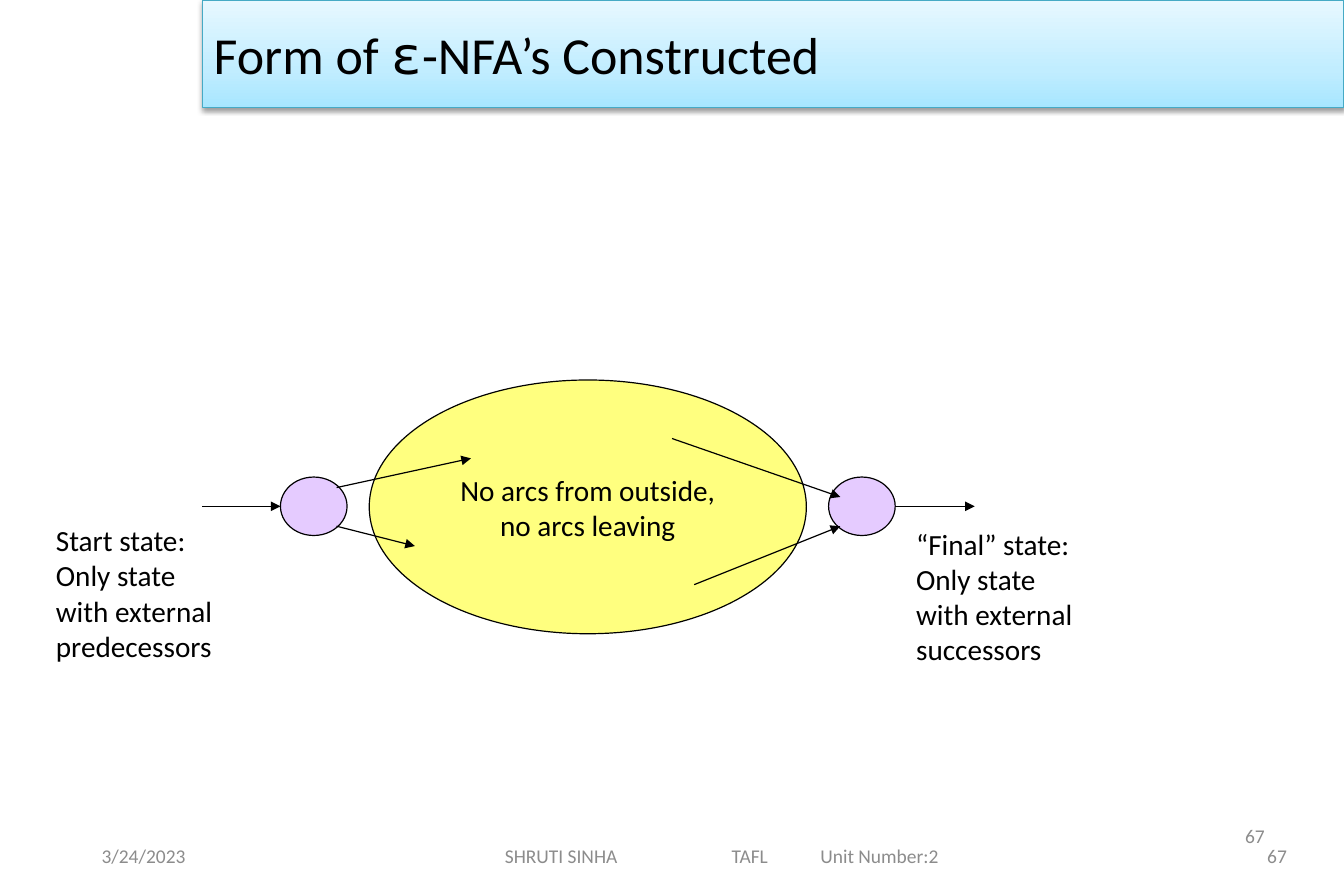
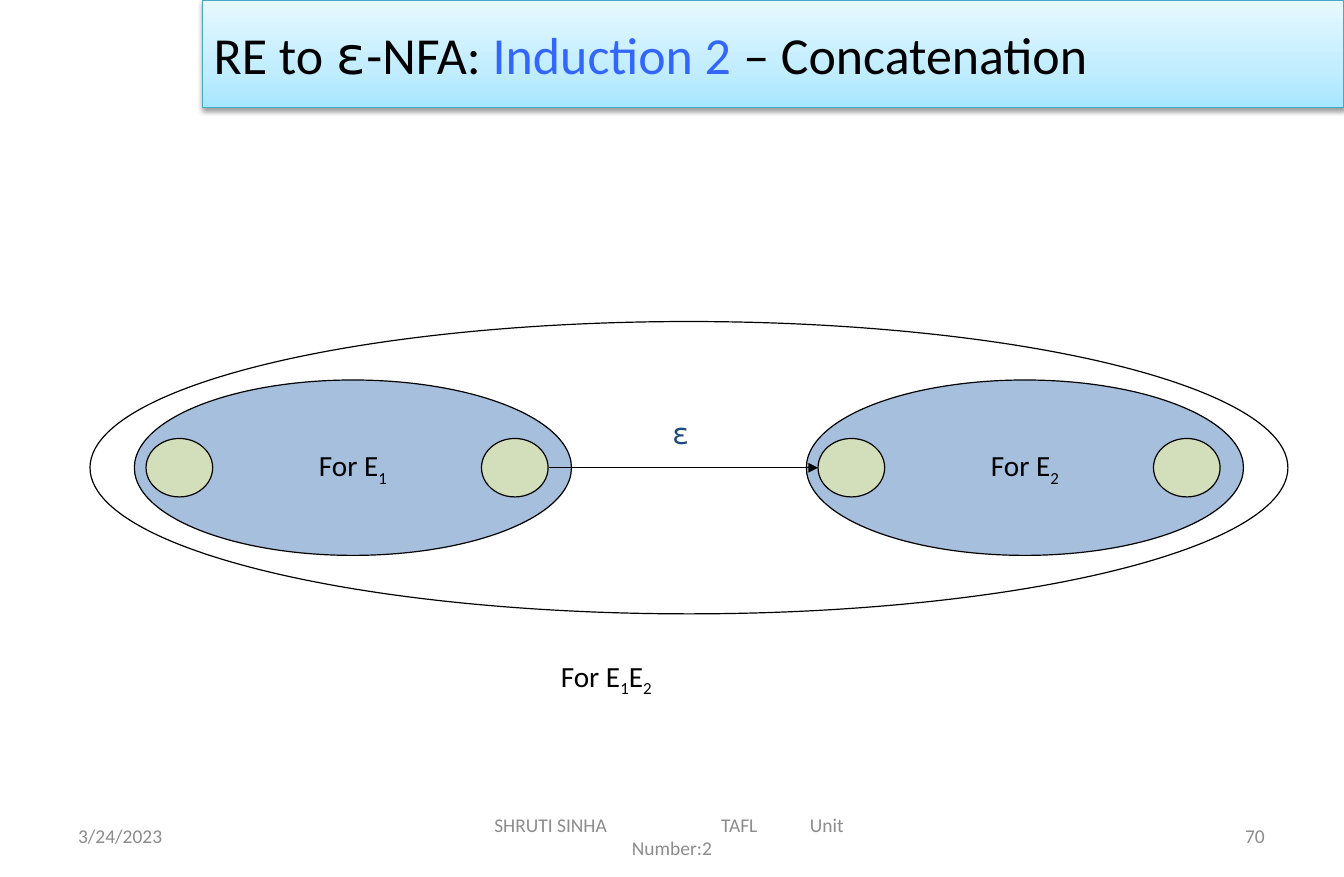
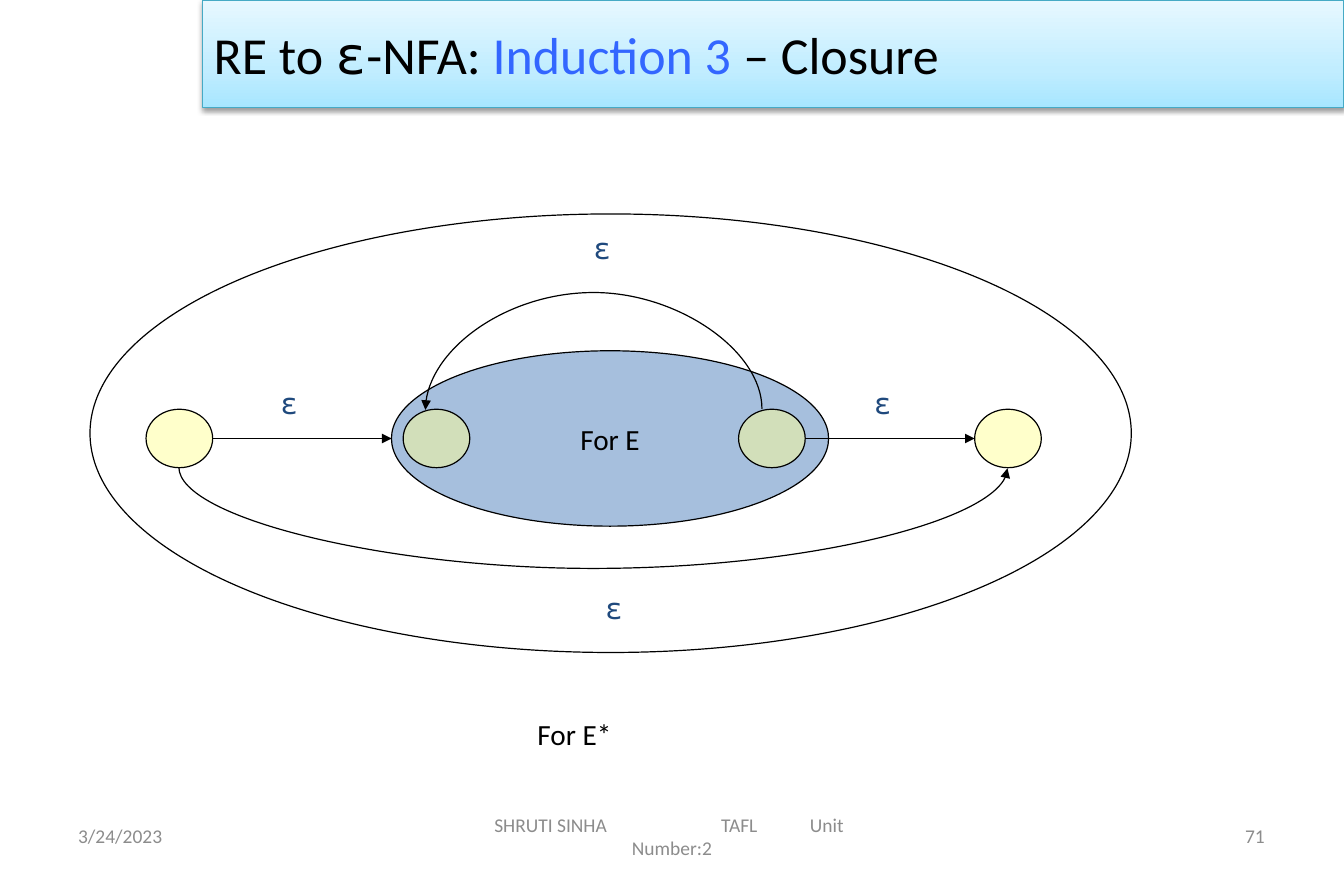
from copy import deepcopy
from pptx import Presentation
from pptx.dml.color import RGBColor
from pptx.enum.shapes import MSO_CONNECTOR, MSO_SHAPE
from pptx.enum.text import MSO_ANCHOR, MSO_AUTO_SIZE, PP_ALIGN
from pptx.oxml.ns import qn
from pptx.oxml.xmlchemy import OxmlElement
from pptx.util import Inches, Pt

# Shared style
SANS, MONO = "Calibri", "DejaVu Sans Mono"
BLACK, GREY, NAVY, BLUE = "000000", "8C8C8C", "1F497D", "3366FF"
LILAC, YELLOW, CREAM, STEEL = "CC99FF", "FFFF00", "FFFF99", "4F81BD"
EDGE = "46AAC5"
GRAD = [(0, "A7E6FF"), (0.35, "C1EDFF"), (1, "E7F8FF")]
LEFT, MID, RIGHT = PP_ALIGN.LEFT, PP_ALIGN.CENTER, PP_ALIGN.RIGHT
NODE_W, NODE_H = 0.57, 0.5
BLOB_W, BLOB_H = 3.74, 1.5
TABS = (1.94, 2.7)


def color(code):
    return RGBColor.from_string(code)


def add(parent, tag, **attrs):
    """Append a DrawingML child with the given attributes."""
    child = OxmlElement(tag)
    for key, value in attrs.items():
        child.set(key, str(value))
    parent.append(child)
    return child


# Text
def write(frame, lines, size=18, tint=BLACK, align=LEFT, font=SANS, tabs=()):
    """Fill a frame; a line is a string or a list of runs (text, kind)."""
    for num, line in enumerate(lines):
        para = frame.add_paragraph() if num else frame.paragraphs[0]
        para.alignment = align
        if tabs and "\t" in line:
            stops = add(para._p.get_or_add_pPr(), "a:tabLst")
            for pos in tabs:
                add(stops, "a:tab", pos=Inches(pos), algn="l")
            para.alignment = LEFT
        para.font.size = Pt(size)
        para.font.name = font
        para.font.color.rgb = color(tint)
        for text, kind in [(line, "")] if isinstance(line, str) else line:
            run = para.add_run()
            run.text = text
            if kind == "mono":
                run.font.name = MONO
            elif kind == "blue":
                run.font.color.rgb = color(BLUE)
            elif kind == "sub":
                run.font._element.set("baseline", "-25000")


def label(slide, x, y, w, h, lines, **style):
    box = slide.shapes.add_textbox(Inches(x), Inches(y), Inches(w), Inches(h))
    box.text_frame.word_wrap = False
    box.text_frame.auto_size = MSO_AUTO_SIZE.SHAPE_TO_FIT_TEXT
    write(box.text_frame, lines, **style)


def epsilon(slide, x, y):
    label(slide, x, y, 0.34, 0.4, ["ε"], tint=NAVY, font=MONO)


# Shared parts
def title(slide, runs):
    bar = slide.shapes.add_shape(
        MSO_SHAPE.RECTANGLE, Inches(1.73), 0, Inches(9.77), Inches(0.92))
    bar.fill.gradient()
    bar.fill.gradient_angle = 90
    first = bar._element.spPr.find(".//" + qn("a:gs"))
    first.addnext(deepcopy(first))
    for stop, (pos, code) in zip(bar.fill.gradient_stops, GRAD):
        stop.position = pos
        stop.color.rgb = color(code)
    bar.line.color.rgb = color(EDGE)
    bar.line.width = Pt(0.75)
    bar.shadow.inherit = False
    effects = bar._element.spPr.find(qn("a:effectLst"))
    shade = add(effects, "a:outerShdw", blurRad=Pt(3.1), dist=Pt(1.6),
                dir=5400000, rotWithShape=0)
    add(add(shade, "a:srgbClr", val=BLACK), "a:alpha", val=38000)
    bar.text_frame.word_wrap = True
    bar.text_frame.vertical_anchor = MSO_ANCHOR.MIDDLE
    write(bar.text_frame, [runs], size=32)


def small(slide, x, y, w, lines, align=LEFT, pad=0.1):
    """Grey footer text, with equal side margins."""
    box = slide.shapes.add_textbox(Inches(x), Inches(y), Inches(w), Inches(0.4))
    frame = box.text_frame
    frame.word_wrap = True
    frame.vertical_anchor = MSO_ANCHOR.MIDDLE
    frame.margin_left = frame.margin_right = Inches(pad)
    write(frame, lines, size=12, tint=GREY, align=align, tabs=TABS)


def number(slide, num, x=8.24, y=6.95):
    small(slide, x, y, 2.68, [num], RIGHT)


def footer(slide, date_x=0.57, y=6.95, x=3.93, w=3.64, pad=0.3,
           lines=("SHRUTI SINHA\tTAFL\tUnit", "Number:2")):
    small(slide, date_x, y, 2.68, ["3/24/2023"])
    small(slide, x, y, w, lines, MID, pad)


# Diagram parts
def oval(slide, x, y, w, h, fill=None, lines=()):
    shape = slide.shapes.add_shape(
        MSO_SHAPE.OVAL, Inches(x), Inches(y), Inches(w), Inches(h))
    if fill:
        shape.fill.solid()
        shape.fill.fore_color.rgb = color(fill)
        tone = shape._element.spPr.find(".//" + qn("a:srgbClr"))
        add(tone, "a:alpha", val=50000)
    else:
        shape.fill.background()
    shape.line.color.rgb = color(BLACK)
    shape.line.width = Pt(0.75)
    shape.shadow.inherit = False
    if lines:
        shape.text_frame.word_wrap = False
        shape.text_frame.vertical_anchor = MSO_ANCHOR.MIDDLE
        write(shape.text_frame, lines, align=MID)


def node(slide, x, y, fill=CREAM):
    oval(slide, x, y, NODE_W, NODE_H, fill)


def blob(slide, x, y, runs):
    """Automaton with its start and final states."""
    oval(slide, x, y, BLOB_W, BLOB_H, STEEL, [runs])
    for dx in (2.97, 0.1):
        node(slide, x + dx, y + (BLOB_H - NODE_H) / 2)


def arrow(slide, x1, y1, x2, y2, kind=MSO_CONNECTOR.STRAIGHT):
    link = slide.shapes.add_connector(
        kind, Inches(x1), Inches(y1), Inches(x2), Inches(y2))
    link.line.color.rgb = color(BLACK)
    link.line.width = Pt(0.75)
    add(link.line._get_or_add_ln(), "a:tailEnd", type="triangle")
    add(link._element.spPr, "a:effectLst")
    return link


def arc(slide, x1, x2, y, depth):
    """Curved arrow: below y when it runs right, above y when it runs left."""
    link = arrow(slide, x1, y, x2, y, MSO_CONNECTOR.CURVE)
    thin, span, down = 0.01, abs(x2 - x1), x2 > x1
    link.left = Inches((x1 + x2 - thin) / 2)
    link.top = Inches(y - span / 2)
    link.width, link.height = Inches(thin), Inches(span)
    form = link._element.spPr.find(qn("a:xfrm"))
    form.set("rot", "16200000")
    form.set("flipH", "1")
    form.set("flipV", "0" if down else "1")
    geom = link._element.spPr.find(qn("a:prstGeom"))
    for old in list(geom):
        geom.remove(old)
    bend = round(depth / thin * 100000) * (1 if down else -1)
    add(add(geom, "a:avLst"), "a:gd", name="adj1", fmla=f"val {bend}")


# Slides
def form(slide):
    number(slide, "67")
    for x in (2.4, 7.09):
        node(slide, x, 4.08, LILAC)
    for x in (1.73, 7.67):
        arrow(slide, x, 4.33, x + 0.67, 4.33)
    oval(slide, 3.16, 3.25, BLOB_W, 2.17, YELLOW,
         ["No arcs from outside,", "no arcs leaving"])
    for ends in ((2.88, 4.5, 3.55, 4.67), (2.88, 4.17, 4.03, 3.92),
                 (5.75, 3.75, 7.19, 4.25), (5.94, 5, 7.19, 4.5)):
        arrow(slide, *ends)
    for x, y, head, last in ((0.38, 4.42, "Start state:", "predecessors"),
                             (7.74, 4.45, "“Final” state:", "successors")):
        label(slide, x, y, 1.55, 1.31,
              [head, "Only state", "with external", last])
    title(slide, [("Form of ", ""), ("ε", "mono"), ("-NFA’s Constructed", "")])
    footer(slide, 0.77, 7.12, 3.45, 5.46, 0.87,
           ["SHRUTI SINHA\tTAFL\tUnit Number:2"])
    number(slide, "67", 8.43, 7.12)


def step(slide, num, name):
    """Title of an induction step."""
    title(slide, [("RE to ", ""), ("ε", "mono"), ("-NFA: ", ""),
                  (f"Induction {num}", "blue"), (f" – {name}", "")])


def concat(slide):
    number(slide, "70")
    for x, sub in ((1.15, "1"), (6.9, "2")):
        blob(slide, x, 3.25, [("For E", ""), (sub, "sub")])
    oval(slide, 0.77, 2.75, 10.25, 2.5)
    label(slide, 4.7, 5.58, 1.01, 0.4,
          [[("For E", ""), ("1", "sub"), ("E", ""), ("2", "sub")]])
    arrow(slide, 4.7, 4, 7, 4)
    epsilon(slide, 5.65, 3.5)
    step(slide, 2, "Concatenation")
    footer(slide)


def closure(slide):
    number(slide, "71")
    blob(slide, 3.35, 3, "For E" and [("For E", "")])
    oval(slide, 0.77, 1.83, 8.91, 3.75)
    label(slide, 4.5, 6.08, 0.84, 0.4, ["For E*"])
    for x in (8.34, 1.25):
        node(slide, x, 3.5)
    arrow(slide, 1.82, 3.75, 3.35, 3.75)
    arrow(slide, 6.9, 3.75, 8.34, 3.75)
    arc(slide, 6.52, 3.64, 3.5, 1.01)
    arc(slide, 1.53, 8.62, 4, 0.88)
    for x, y in ((4.98, 1.92), (5.08, 5), (7.38, 3.25), (2.3, 3.25)):
        epsilon(slide, x, y)
    step(slide, 3, "Closure")
    footer(slide)


def main():
    deck = Presentation()
    deck.slide_width, deck.slide_height = Inches(11.5), Inches(7.5)
    for draw in (form, concat, closure):
        draw(deck.slides.add_slide(deck.slide_layouts[6]))
    deck.save("out.pptx")


if __name__ == "__main__":
    main()
